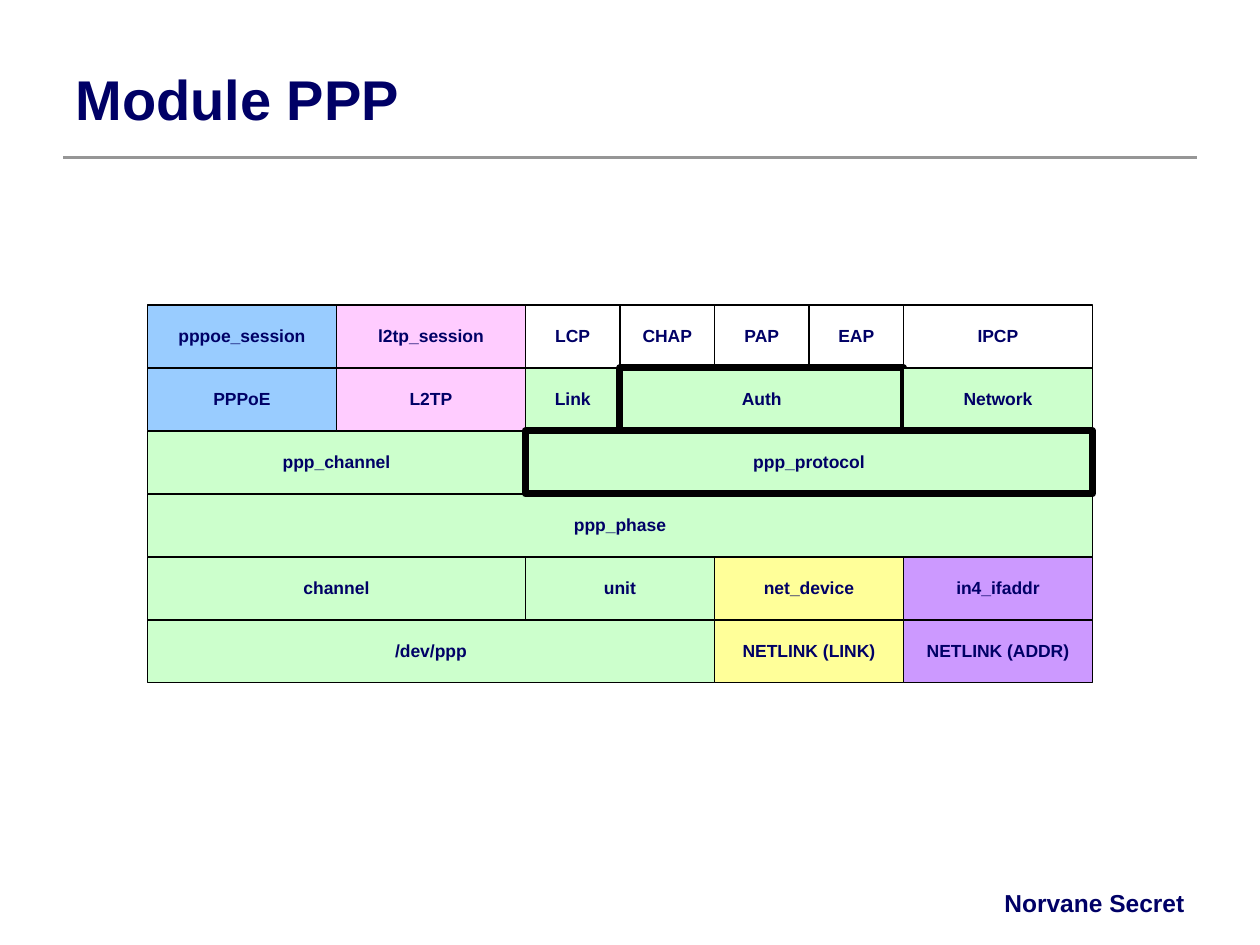
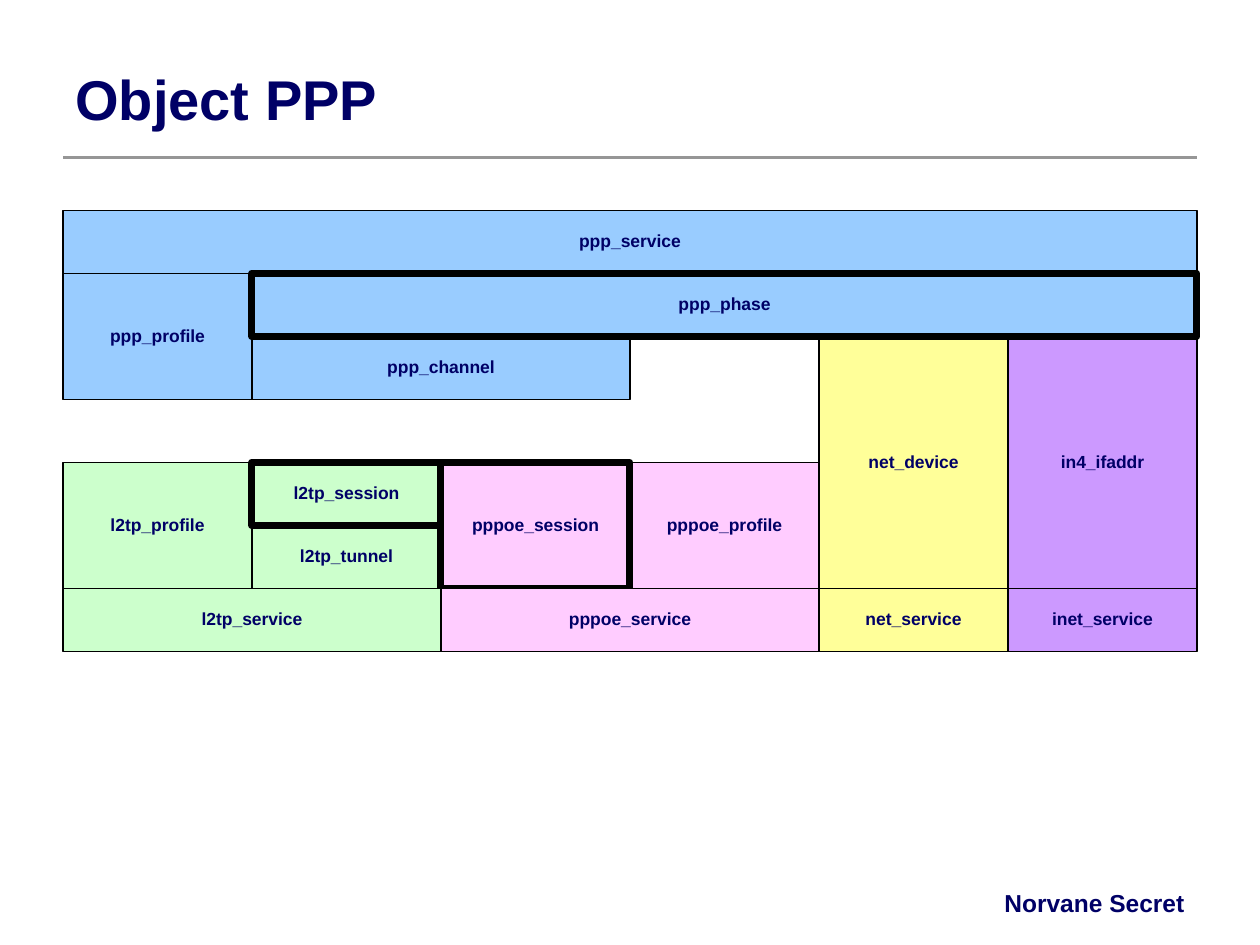
from pptx import Presentation
from pptx.dml.color import RGBColor
from pptx.enum.shapes import MSO_CONNECTOR, MSO_SHAPE
from pptx.enum.text import MSO_ANCHOR, PP_ALIGN
from pptx.oxml.ns import qn
from pptx.util import Inches, Pt
from lxml import etree

RECT = MSO_SHAPE.RECTANGLE
STRAIGHT = MSO_CONNECTOR.STRAIGHT
TOP, MIDDLE = MSO_ANCHOR.TOP, MSO_ANCHOR.MIDDLE
LEFT, CENTER, RIGHT = PP_ALIGN.LEFT, PP_ALIGN.CENTER, PP_ALIGN.RIGHT

NAVY = RGBColor(0x00, 0x00, 0x66)
BLACK = RGBColor(0x00, 0x00, 0x00)
GRAY = RGBColor(0x96, 0x96, 0x96)
WHITE = RGBColor(0xFF, 0xFF, 0xFF)
BLUE = RGBColor(0x99, 0xCC, 0xFF)
PINK = RGBColor(0xFF, 0xCC, 0xFF)
GREEN = RGBColor(0xCC, 0xFF, 0xCC)
YELLOW = RGBColor(0xFF, 0xFF, 0x99)
PURPLE = RGBColor(0xCC, 0x99, 0xFF)

FONT = "Arial"
FOOTER = "Norvane Secret"
COL, ROW = 0.75, 0.5    # grid cell, inches
THIN, THICK = 0.75, 4   # borders, points

# Blocks, back to front: text, column, row, columns, rows, fill, border
MODULES = [
    ("pppoe_session", 0, 0, 2, 1, BLUE, THIN),
    ("l2tp_session", 2, 0, 2, 1, PINK, THIN),
    ("LCP", 4, 0, 1, 1, WHITE, THIN),
    ("CHAP", 5, 0, 1, 1, WHITE, THIN),
    ("PAP", 6, 0, 1, 1, WHITE, THIN),
    ("EAP", 7, 0, 1, 1, WHITE, THIN),
    ("IPCP", 8, 0, 2, 1, WHITE, THIN),
    ("channel", 0, 4, 4, 1, GREEN, THIN),
    ("unit", 4, 4, 2, 1, GREEN, THIN),
    ("/dev/ppp", 0, 5, 6, 1, GREEN, THIN),
    ("NETLINK (LINK)", 6, 5, 2, 1, YELLOW, THIN),
    ("net_device", 6, 4, 2, 1, YELLOW, THIN),
    ("ppp_phase", 0, 3, 10, 1, GREEN, THIN),
    ("ppp_channel", 0, 2, 4, 1, GREEN, THIN),
    ("NETLINK (ADDR)", 8, 5, 2, 1, PURPLE, THIN),
    ("Link", 4, 1, 1, 1, GREEN, THIN),
    ("Auth", 5, 1, 3, 1, GREEN, THICK),
    ("Network", 8, 1, 2, 1, GREEN, THIN),
    ("in4_ifaddr", 8, 4, 2, 1, PURPLE, THIN),
    ("L2TP", 2, 1, 2, 1, PINK, THIN),
    ("PPPoE", 0, 1, 2, 1, BLUE, THIN),
    ("ppp_protocol", 4, 2, 6, 1, GREEN, THICK),
]
OBJECTS = [
    ("net_device", 8, 2, 2, 4, YELLOW, THIN),
    ("in4_ifaddr", 10, 2, 2, 4, PURPLE, THIN),
    ("net_service", 8, 6, 2, 1, YELLOW, THIN),
    ("inet_service", 10, 6, 2, 1, PURPLE, THIN),
    ("ppp_channel", 2, 2, 4, 1, BLUE, THIN),
    ("ppp_service", 0, 0, 12, 1, BLUE, THIN),
    ("ppp_profile", 0, 1, 2, 2, BLUE, THIN),
    ("pppoe_profile", 6, 4, 2, 2, PINK, THIN),
    ("l2tp_tunnel", 2, 5, 2, 1, GREEN, THIN),
    ("l2tp_profile", 0, 4, 2, 2, GREEN, THIN),
    ("l2tp_session", 2, 4, 2, 1, GREEN, THICK),
    ("pppoe_session", 4, 4, 2, 2, PINK, THICK),
    ("l2tp_service", 0, 6, 4, 1, GREEN, THIN),
    ("pppoe_service", 4, 6, 4, 1, PINK, THIN),
    ("ppp_phase", 2, 1, 10, 1, BLUE, THICK),
]


class Deck:
    def __init__(self):
        self.prs = Presentation()
        self.prs.slide_width = Inches(10)
        self.prs.slide_height = Inches(7.5)

    def page(self, title):
        """Start a slide with its rule, title and footer."""
        self.slide = self.prs.slides.add_slide(self.prs.slide_layouts[6])
        self.rule(0.5, 1.25, 9.5)
        self.label(title, 0.5, 0.3, 9, 0.95, 32, LEFT, MIDDLE)
        self.label(FOOTER, 6.33, 7, 3.17, 0.33, 14, RIGHT, TOP)

    def rule(self, left, top, right):
        line = self.slide.shapes.add_connector(
            STRAIGHT, Inches(left), Inches(top), Inches(right), Inches(top))
        line.line.color.rgb = GRAY
        line.line.width = Pt(2.25)
        etree.SubElement(line._element.spPr, qn("a:effectLst"))

    def set_text(self, shape, text, size, align, anchor):
        frame = shape.text_frame
        frame.word_wrap = True
        frame.vertical_anchor = anchor
        para = frame.paragraphs[0]
        para.text = text
        para.alignment = align
        font = para.font
        font.name, font.size, font.bold = FONT, Pt(size), True
        font.color.rgb = NAVY
        return para

    def label(self, text, left, top, width, height, size, align, anchor):
        box = self.slide.shapes.add_textbox(
            Inches(left), Inches(top), Inches(width), Inches(height))
        self.set_text(box, text, size, align, anchor)

    def block(self, text, left, top, width, height, fill, border):
        box = self.slide.shapes.add_shape(
            RECT, Inches(left), Inches(top), Inches(width), Inches(height))
        box.shadow.inherit = False
        box.fill.solid()
        box.fill.fore_color.rgb = fill
        box.line.color.rgb = BLACK
        box.line.width = Pt(border)
        para = self.set_text(box, text, 10, CENTER, MIDDLE)
        para.line_spacing = 0.9
        para.space_before = Pt(2.5)

    def grid(self, left, top, blocks):
        """Place blocks on the grid whose corner is at left, top."""
        for text, col, row, cols, rows, fill, border in blocks:
            self.block(text, left + col * COL, top + row * ROW,
                       cols * COL, rows * ROW, fill, border)


def main():
    deck = Deck()

    # Module stack
    deck.page("Module PPP")
    deck.grid(1.17, 2.42, MODULES)

    # Object map
    deck.page("Object PPP")
    deck.grid(0.5, 1.67, OBJECTS)

    deck.prs.save("out.pptx")


if __name__ == "__main__":
    main()
